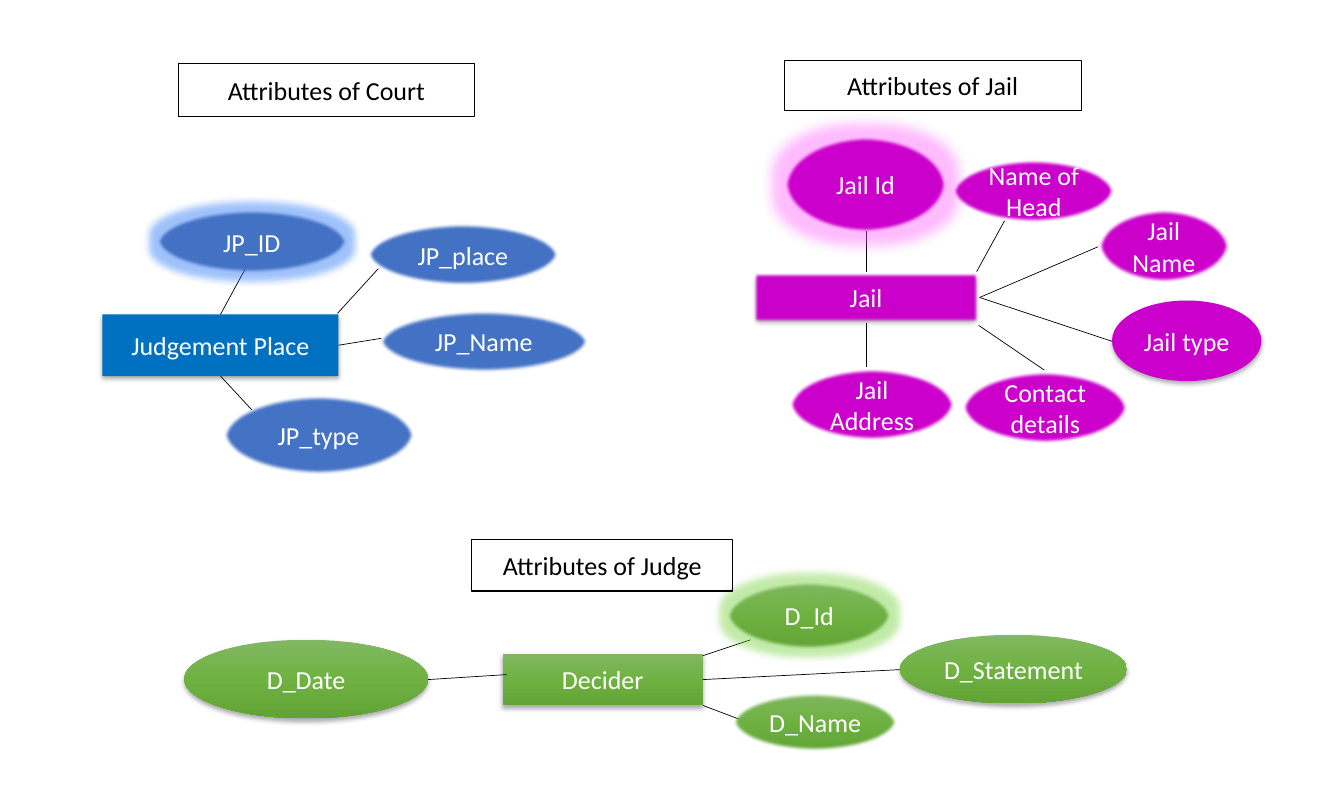
from copy import deepcopy

from lxml.etree import SubElement
from pptx import Presentation
from pptx.dml.color import RGBColor
from pptx.enum.shapes import MSO_CONNECTOR as Connector, MSO_SHAPE as Shape
from pptx.enum.text import MSO_ANCHOR as Anchor, PP_ALIGN as Align
from pptx.oxml.ns import qn
from pptx.util import Emu, Pt

PX = 9144
BLACK = RGBColor(0x00, 0x00, 0x00)
WHITE = RGBColor(0xFF, 0xFF, 0xFF)
COURT_BLUE = RGBColor(0x00, 0x70, 0xC0)
BLUE = RGBColor(0x44, 0x72, 0xC4)
BLUE_GLOW = RGBColor(0x10, 0x67, 0xF8)
MAGENTA = RGBColor(0xCC, 0x00, 0xCC)
MAGENTA_GLOW = RGBColor(0xFF, 0x55, 0xFF)
GREENS = (RGBColor(0x81, 0xB8, 0x61), RGBColor(0x6F, 0xB2, 0x42), RGBColor(0x62, 0xA3, 0x36))
GREEN_GLOW = RGBColor(0x67, 0xCF, 0x27)
TOP, BOTTOM, RIGHT = 0, 2, 3

SOFT = {"softEdge": {"rad": Pt(2.5)}}
SHADOW = {"outerShdw": {"blurRad": Pt(3.5), "dist": Pt(2.2), "dir": 5400000,
                        "algn": "ctr", "rotWithShape": 0}}


def glow(radius):
    """Return the effects of a glowing key attribute."""
    return {"glow": {"rad": Pt(radius)}, **SOFT}


COURT = {
    "title": ("Attributes of Court", (179, 64, 298, 53)),
    "entity": ("Judgement Place", (103, 316, 237, 62), COURT_BLUE, SHADOW),
    "fill": BLUE,
    "glow": BLUE_GLOW,
    "attributes": [
        ("JP_ID", (157, 211, 192, 64), TOP, (253, 258), glow(11)),
        ("JP_Name", (381, 312, 210, 62), RIGHT, (383, 340), SOFT),
        ("JP_type", (224, 398, 192, 79), BOTTOM, (253, 412), SOFT),
        ("JP_place", (369, 225, 192, 62), (339, 315), (380, 270), SOFT),
    ],
}
JAIL = {
    "title": ("Attributes of Jail", (788, 61, 298, 50)),
    "entity": ("Jail", (756, 273, 228, 52), MAGENTA, {**SHADOW, **SOFT}),
    "fill": MAGENTA,
    "glow": MAGENTA_GLOW,
    "attributes": [
        ("Jail Id", (788, 137, 163, 97), TOP, (870, 232), glow(18)),
        ("Jail Name", (1103, 211, 132, 73), RIGHT, (1103, 248), SOFT),
        ("Jail Address", (793, 370, 166, 73), BOTTOM, (870, 369), SOFT),
        ("Name of Head", (957, 160, 163, 64), (981, 273), (1009, 222), SOFT),
        ("Contact details", (967, 373, 166, 73), (983, 327), (1049, 372), SOFT),
        ("Jail type", (1117, 302, 150, 81), RIGHT, (1117, 343), SHADOW),
    ],
}
JUDGE = {
    "title": ("Attributes of Judge", (474, 542, 262, 52)),
    "entity": ("Decider", (505, 657, 201, 52), GREENS, SHADOW),
    "fill": GREENS,
    "glow": GREEN_GLOW,
    "attributes": [
        ("D_Id", (730, 584, 166, 69), (706, 659), (754, 643), glow(11)),
        ("D_Name", (736, 696, 166, 59), (706, 709), (751, 726), SOFT),
        ("D_Statement", (904, 638, 228, 69), RIGHT, (904, 673), SHADOW),
        ("D_Date", (185, 643, 245, 79), (509, 678), (430, 683), SHADOW),
    ],
}


class Diagram:
    """Draws entities and their attributes on one slide in a shared style."""

    text_format = {"name": "Calibri", "size": Pt(18.8)}

    def __init__(self, slide):
        self.slide = slide

    def label(self, kind, text, box, colour):
        node = self.slide.shapes.add_shape(kind, *(Emu(n * PX) for n in box))
        node.shadow.inherit = False
        frame = node.text_frame
        frame.word_wrap = True
        frame.vertical_anchor = Anchor.MIDDLE
        paragraph = frame.paragraphs[0]
        paragraph.text = text
        paragraph.alignment = Align.CENTER
        for name, value in self.text_format.items():
            setattr(paragraph.font, name, value)
        paragraph.font.color.rgb = colour
        return node

    def title(self, text, box):
        heading = self.label(Shape.RECTANGLE, text, box, BLACK)
        heading.fill.background()
        heading.line.color.rgb = BLACK
        heading.line.width = Pt(0.75)

    def node(self, kind, text, box, fill, effects, glow_colour=None):
        node = self.label(kind, text, box, WHITE)
        node.line.fill.background()
        self.paint(node, fill)
        effect_list = node.element.spPr.find(qn("a:effectLst"))
        for effect, settings in effects.items():
            element = SubElement(effect_list, qn(f"a:{effect}"))
            for name, value in settings.items():
                element.set(name, str(value))
            if effect != "softEdge":
                is_glow = effect == "glow"
                colour = SubElement(element, qn("a:srgbClr"), val=str(glow_colour if is_glow else BLACK))
                SubElement(colour, qn("a:alpha"), val="40000" if is_glow else "32000")
        return node

    def paint(self, node, fill):
        if isinstance(fill, RGBColor):
            node.fill.solid()
            node.fill.fore_color.rgb = fill
            return
        node.fill.gradient()
        node.fill.gradient_angle = 270
        stop_list = next(node.element.spPr.iter(qn("a:gsLst")))
        stop_list.insert(1, deepcopy(stop_list[0]))
        for stop, colour, position in zip(node.fill.gradient_stops, fill, (0, 0.5, 1)):
            stop.color.rgb = colour
            stop.position = position

    def link(self, entity, start, end):
        begin = end if isinstance(start, int) else start
        line = self.slide.shapes.add_connector(
            Connector.STRAIGHT, *(Emu(n * PX) for n in (*begin, *end)))
        if isinstance(start, int):
            line.begin_connect(entity, start)
        line.line.color.rgb = BLACK
        line.line.width = Pt(0.5)
        SubElement(line.element.spPr, qn("a:effectLst"))

    def group(self, content):
        entity = self.node(Shape.RECTANGLE, *content["entity"])
        for text, box, start, end, effects in content["attributes"]:
            self.link(entity, start, end)
            self.node(Shape.OVAL, text, box, content["fill"], effects, content["glow"])
        self.title(*content["title"])


def main():
    deck = Presentation()
    deck.slide_width, deck.slide_height = Emu(1350 * PX), Emu(800 * PX)
    diagram = Diagram(deck.slides.add_slide(deck.slide_layouts[6]))
    for content in (COURT, JUDGE, JAIL):
        diagram.group(content)
    deck.save("out.pptx")


if __name__ == "__main__":
    main()
